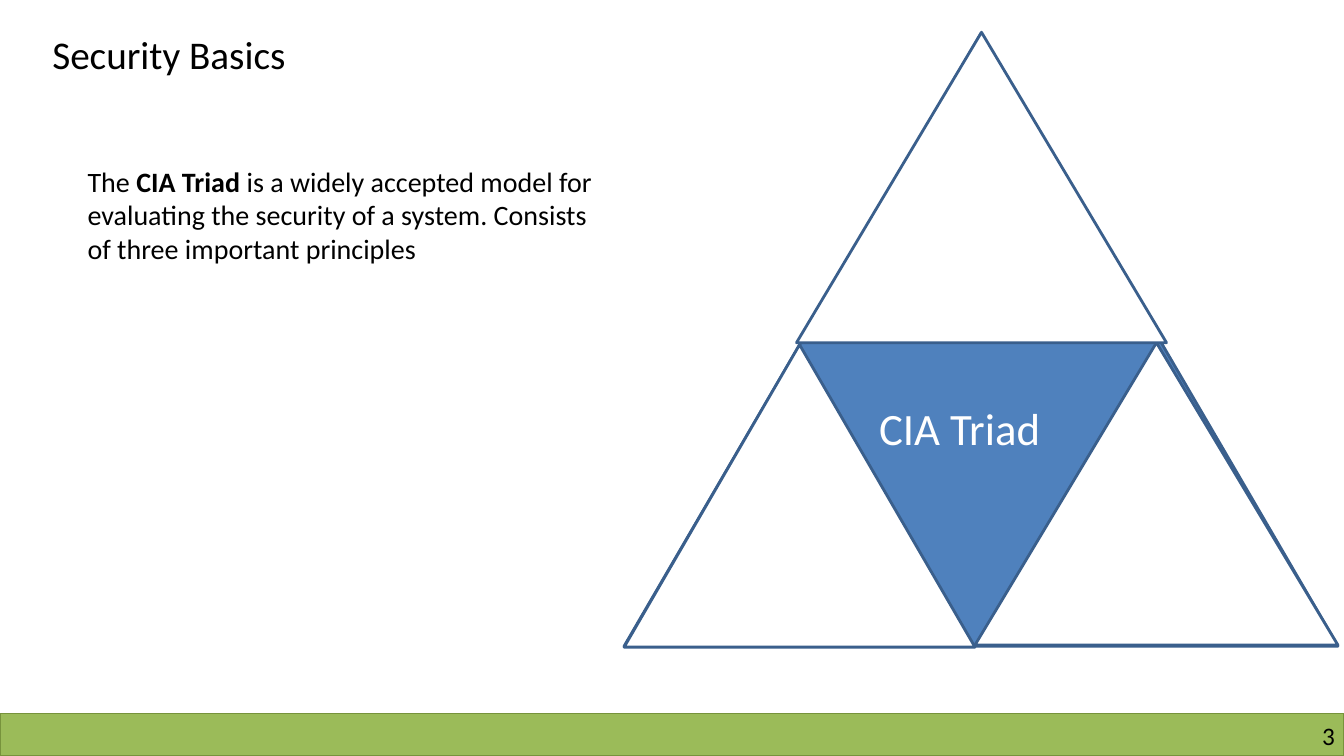
from dataclasses import dataclass

from pptx import Presentation
from pptx.dml.color import RGBColor
from pptx.enum import shapes, text
from pptx.util import Inches, Pt


@dataclass(frozen=True)
class Theme:
    font: str = "Calibri"
    ink: str = "000000"
    paper: str = "FFFFFF"
    triad: str = "4F81BD"
    triad_edge: str = "3A5F8C"
    footer: str = "9BBB59"
    footer_edge: str = "77933C"
    title_size: int = 28
    triad_size: int = 32
    body_size: int = 20
    number_size: int = 18


THEME = Theme()
SLIDE_WIDTH, SLIDE_HEIGHT = 13.33, 7.5
FOOTER_HEIGHT = 0.42


def add_outlined(slide, kind, box, fill, edge, edge_width):
    shape = slide.shapes.add_shape(kind, *map(Inches, box))
    shape.shadow.inherit = False
    shape.fill.solid()
    shape.fill.fore_color.rgb = RGBColor.from_string(fill)
    shape.line.color.rgb = RGBColor.from_string(edge)
    shape.line.width = Pt(edge_width)


def add_triangle(slide, box, fill):
    add_outlined(slide, shapes.MSO_SHAPE.ISOSCELES_TRIANGLE, box,
                 fill, THEME.triad_edge, 2)


def add_label(slide, box, runs, size, color=THEME.ink, align=None, inset=True):
    """Add one paragraph; runs are (wording, is_bold) pairs."""
    frame = slide.shapes.add_textbox(*map(Inches, box)).text_frame
    frame.word_wrap = True
    frame.auto_size = text.MSO_AUTO_SIZE.SHAPE_TO_FIT_TEXT
    if not inset:
        frame.margin_left = frame.margin_right = 0
        frame.margin_top = frame.margin_bottom = 0
    paragraph = frame.paragraphs[0]
    paragraph.alignment = align
    paragraph.font.name = THEME.font
    paragraph.font.size = Pt(size)
    paragraph.font.color.rgb = RGBColor.from_string(color)
    for wording, is_bold in runs:
        run = paragraph.add_run()
        run.text = wording
        if is_bold:
            run.font.bold = True


def add_footer(slide, number):
    band = (0, SLIDE_HEIGHT - FOOTER_HEIGHT, SLIDE_WIDTH, FOOTER_HEIGHT)
    add_outlined(slide, shapes.MSO_SHAPE.RECTANGLE, band,
                 THEME.footer, THEME.footer_edge, 1)
    add_label(slide, (10.17, 7.15, 3.07, 0.3), [(number, False)],
              THEME.number_size, align=text.PP_ALIGN.RIGHT, inset=False)


def add_triad(slide):
    """Cover the corners of a large triangle so its inverted centre shows."""
    add_triangle(slide, (6.19, 0.33, 7.08, 6.08), THEME.triad)
    corners = [
        (6.19, 3.42, 3.48, 3),
        (9.67, 3.4, 3.6, 3),
        (7.9, 0.32, 3.67, 3.08),
    ]
    for corner in corners:
        add_triangle(slide, corner, THEME.paper)
    add_label(slide, (8.62, 3.93, 2.1, 0.64), [("CIA Triad", False)],
              THEME.triad_size, THEME.paper)


def main():
    deck = Presentation()
    deck.slide_width = Inches(SLIDE_WIDTH)
    deck.slide_height = Inches(SLIDE_HEIGHT)
    slide = deck.slides.add_slide(deck.slide_layouts[6])

    add_footer(slide, "3")
    add_label(slide, (0.42, 0.25, 2.89, 0.57), [("Security Basics", False)],
              THEME.title_size)
    add_triad(slide)
    definition = [
        ("The ", False),
        ("CIA Triad ", True),
        ("is a widely accepted model for evaluating the security of a system. "
         "Consists of three important principles", False),
    ]
    add_label(slide, (0.77, 1.58, 5.42, 1.11), definition, THEME.body_size)

    deck.save("out.pptx")


if __name__ == "__main__":
    main()
